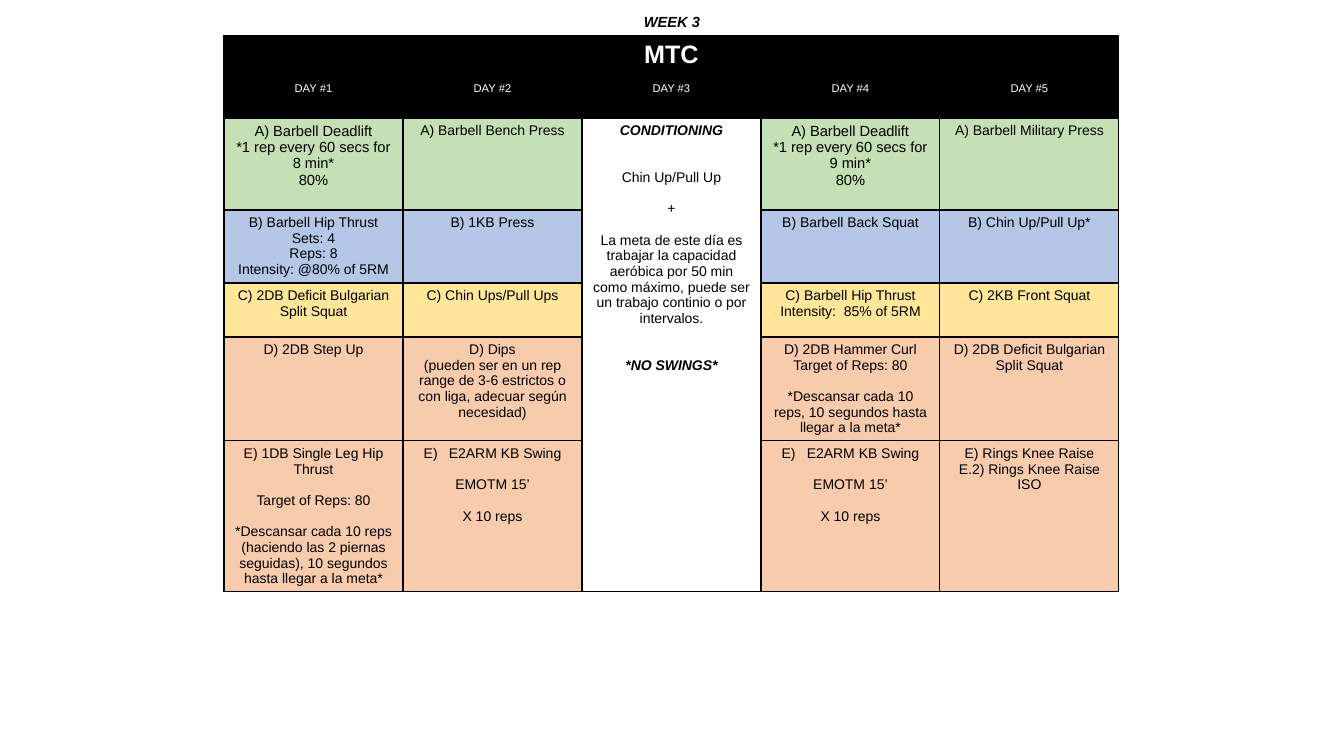
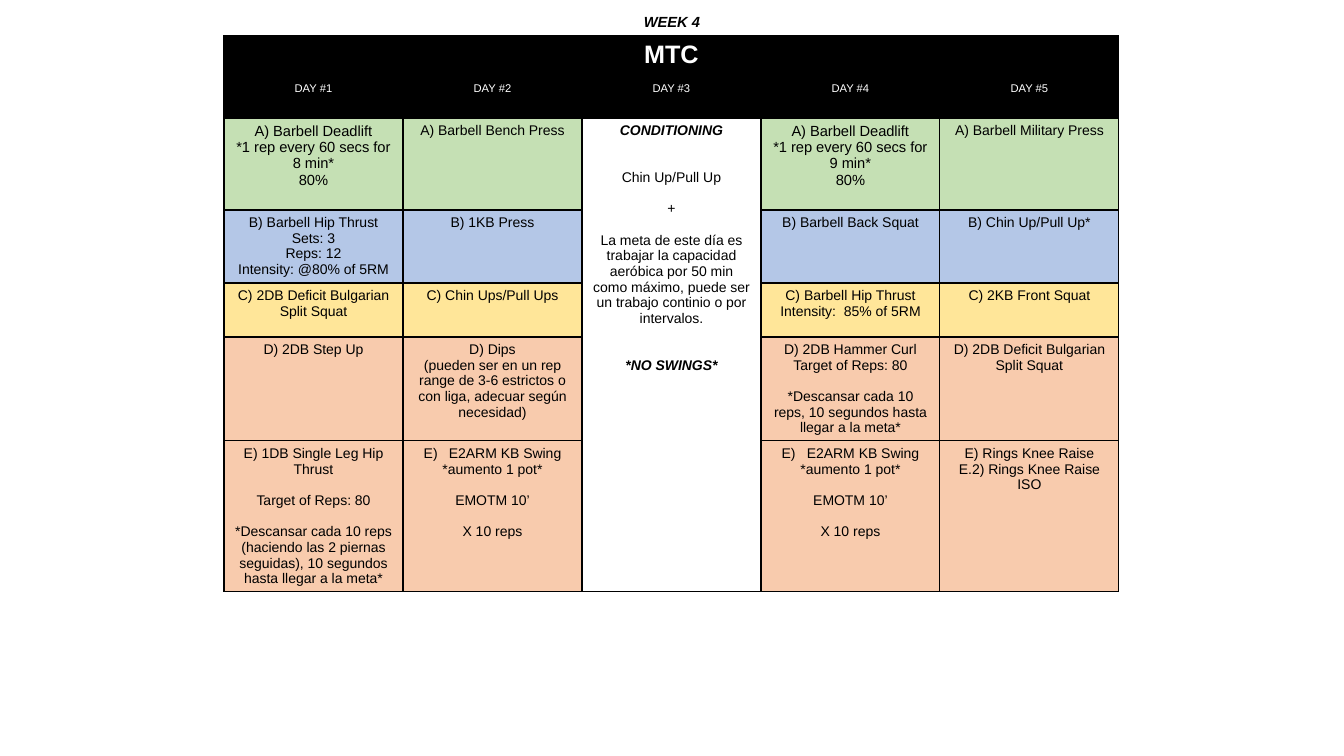
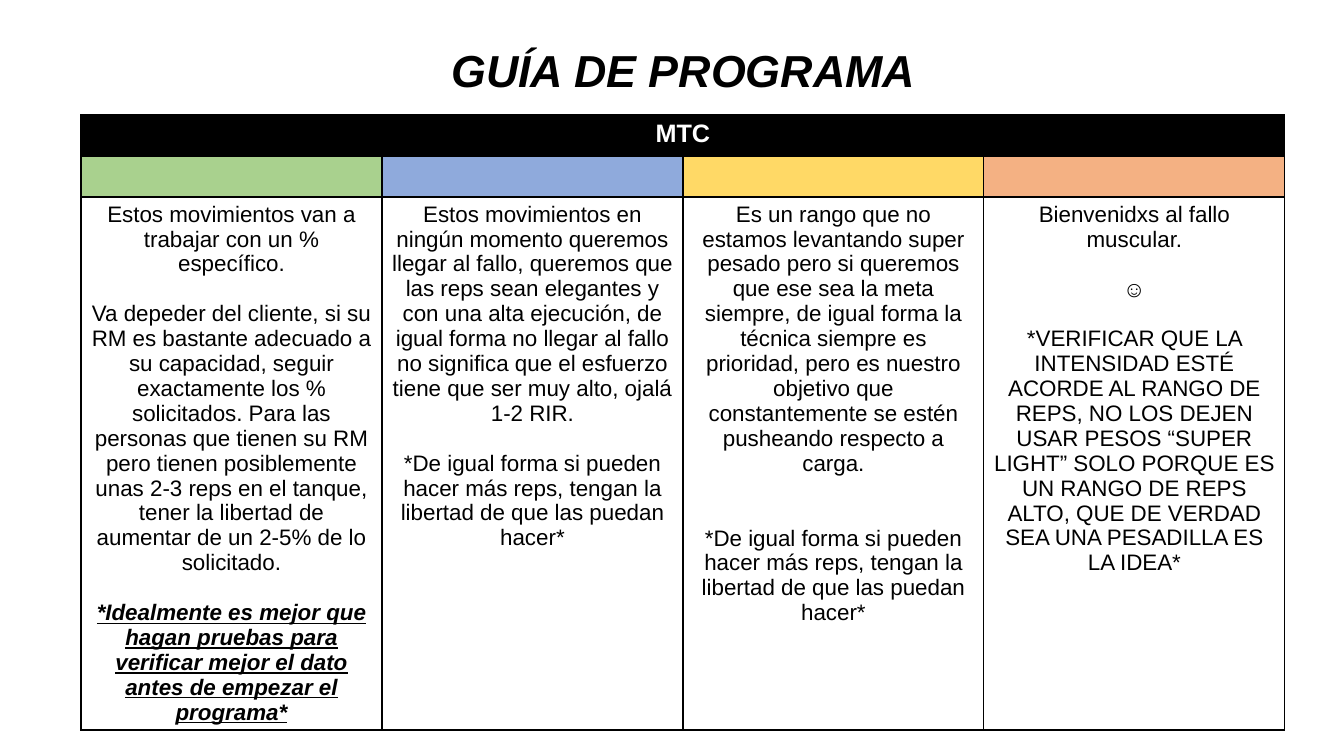
from dataclasses import dataclass

from lxml import etree
from pptx import Presentation
from pptx.dml.color import RGBColor
from pptx.enum import text
from pptx.oxml.ns import qn
from pptx.util import Emu, Pt

PX = 914400 / 100.8
FONT = "Arial"
LINE_HEIGHT = 1.12
TITLE_ONLY = 5

BLACK = RGBColor(0x00, 0x00, 0x00)
WHITE = RGBColor(0xFF, 0xFF, 0xFF)
LIGHT_GREEN = RGBColor(0xC5, 0xE0, 0xB4)
LIGHT_BLUE = RGBColor(0xB4, 0xC7, 0xE7)
LIGHT_YELLOW = RGBColor(0xFF, 0xE6, 0x99)
LIGHT_ORANGE = RGBColor(0xF8, 0xCB, 0xAD)
GREEN = RGBColor(0xA9, 0xD1, 0x8E)
BLUE = RGBColor(0x8F, 0xAA, 0xDC)
YELLOW = RGBColor(0xFF, 0xD9, 0x66)
ORANGE = RGBColor(0xF4, 0xB1, 0x83)

BLOCK_COLOURS = (LIGHT_GREEN, LIGHT_BLUE, LIGHT_YELLOW, LIGHT_ORANGE, LIGHT_ORANGE)
GUIDE_COLOURS = (GREEN, BLUE, YELLOW, ORANGE)


@dataclass
class Line:
    """One paragraph; gap counts the free lines above it, letter its place in A), B), C)..."""
    text: str
    gap: int = 0
    strong: bool = False
    underline: bool = False
    letter: int = 0


def px(length):
    return Emu(round(length * PX))


def style(paragraph, size, colour, bold=False, italic=False, underline=False):
    paragraph.alignment = text.PP_ALIGN.CENTER
    font = paragraph.font
    font.name, font.size = FONT, Pt(size)
    font.bold, font.italic, font.underline = bold, italic, underline
    font.color.rgb = colour


def number(paragraph, letter):
    properties = paragraph._p.get_or_add_pPr()
    properties.set("marL", "228600")
    properties.set("indent", "-228600")
    etree.SubElement(properties, qn("a:buAutoNum"),
                     type="alphaUcParenR", startAt=str(letter))


def add_titled_slide(deck, title, box, size, spacing=1.0):
    slide = deck.slides.add_slide(deck.slide_layouts[TITLE_ONLY])
    heading = slide.shapes.title
    heading.left, heading.top, heading.width, heading.height = map(px, box)
    frame = heading.text_frame
    frame.text = title
    frame.auto_size = text.MSO_AUTO_SIZE.NONE
    frame.vertical_anchor = text.MSO_ANCHOR.MIDDLE
    frame.paragraphs[0].line_spacing = spacing
    style(frame.paragraphs[0], size, BLACK, bold=True, italic=True)
    return slide


def outline(cell):
    properties = cell._tc.get_or_add_tcPr()
    for position, side in enumerate(("lnL", "lnR", "lnT", "lnB")):
        border = etree.Element(qn(f"a:{side}"), w=str(Pt(1)))
        fill = etree.SubElement(border, qn("a:solidFill"))
        etree.SubElement(fill, qn("a:srgbClr"), val=str(BLACK))
        properties.insert(position, border)


def add_grid(slide, left, top, column_width, row_heights, columns):
    """Add a white outlined table whose first row is one black MTC band."""
    table = slide.shapes.add_table(
        len(row_heights), columns, px(left), px(top),
        px(columns * column_width), px(sum(row_heights))).table
    table.first_row = table.horz_banding = False
    for column in table.columns:
        column.width = px(column_width)
    for row, height in zip(table.rows, row_heights):
        row.height = px(height)
    for cell in table.iter_cells():
        paint(cell, WHITE)
        outline(cell)
    for cell in table.rows[0].cells:
        paint(cell, BLACK)
    table.cell(0, 0).merge(table.cell(0, columns - 1))
    write(table.cell(0, 0), [Line("MTC")], 18, WHITE, bold=True)
    return table


def paint(cell, colour):
    cell.fill.solid()
    cell.fill.fore_color.rgb = colour


def write(cell, lines, size, colour=BLACK, bold=False):
    frame = cell.text_frame
    for index, line in enumerate(lines):
        paragraph = frame.add_paragraph() if index else frame.paragraphs[0]
        paragraph.text = line.text
        if line.gap:
            paragraph.space_before = Pt(round(line.gap * size * LINE_HEIGHT, 1))
        if line.letter:
            number(paragraph, line.letter)
        style(paragraph, size, colour, bold or line.strong, line.strong, line.underline)


def plain(*texts):
    return [Line(each) for each in texts]


def deadlift(minutes):
    return plain("A) Barbell Deadlift", f"*1 rep every 60 secs for {minutes} min*", "80%")


CONDITIONING = [
    Line("CONDITIONING", strong=True),
    Line("Chin Up/Pull Up", gap=2),
    Line("+", gap=1),
    Line("La meta de este día es trabajar la capacidad aeróbica por 50 min como máximo, "
         "puede ser un trabajo continio o por intervalos.", gap=1),
    Line("*NO SWINGS*", gap=2, strong=True),
]
TARGET = "Target of Reps: 80"


def week_days(sets, reps, swing_notes, minutes):
    """Blocks A to E of each day, by day number."""
    swing = [Line("E2ARM KB Swing", letter=5), *plain(*swing_notes),
             Line(f"EMOTM {minutes}’", gap=1), Line("X 10 reps", gap=1)]
    return {
        1: [deadlift(8),
            plain("B) Barbell Hip Thrust", f"Sets: {sets}", f"Reps: {reps}",
                  "Intensity: @80% of 5RM"),
            plain("C) 2DB Deficit Bulgarian Split Squat"),
            plain("D) 2DB Step Up"),
            [Line("E) 1DB Single Leg Hip Thrust"), Line(TARGET, gap=1),
             Line("*Descansar cada 10 reps (haciendo las 2 piernas seguidas), "
                  "10 segundos hasta llegar a la meta*", gap=1)]],
        2: [plain("A) Barbell Bench Press"),
            plain("B) 1KB Press"),
            plain("C) Chin Ups/Pull Ups"),
            plain("D) Dips", "(pueden ser en un rep range de 3-6 estrictos o con liga, "
                  "adecuar según necesidad)"),
            swing],
        4: [deadlift(9),
            plain("B) Barbell Back Squat"),
            plain("C) Barbell Hip Thrust", "Intensity:  85% of 5RM"),
            [Line("D) 2DB Hammer Curl"), Line(TARGET),
             Line("*Descansar cada 10 reps, 10 segundos hasta llegar a la meta*", gap=1)],
            swing],
        5: [plain("A) Barbell Military Press"),
            plain("B) Chin Up/Pull Up*"),
            plain("C) 2KB Front Squat"),
            plain("D) 2DB Deficit Bulgarian Split Squat"),
            plain("E) Rings Knee Raise", "E.2) Rings Knee Raise ISO")],
    }


def add_week(deck, week, days):
    slide = add_titled_slide(deck, f"WEEK {week}", (0, 7, 1344, 29), 10.5)
    table = add_grid(slide, 224, 36, 179, (41, 41, 92, 73, 54, 104, 151), 5)
    for day in range(1, 6):
        heading = table.cell(1, day - 1)
        paint(heading, BLACK)
        write(heading, [Line(f"DAY #{day}")], 8, WHITE)
    for day, blocks in days.items():
        for row, (lines, colour) in enumerate(zip(blocks, BLOCK_COLOURS), start=2):
            cell = table.cell(row, day - 1)
            paint(cell, colour)
            is_deadlift = lines[0].text == "A) Barbell Deadlift"
            write(cell, lines, 10.5 if is_deadlift else 10)
    table.cell(2, 2).merge(table.cell(6, 2))
    write(table.cell(2, 2), CONDITIONING, 10)


MORE_REPS = ("*De igual forma si pueden hacer más reps, "
             "tengan la libertad de que las puedan hacer*")
GUIDE = (
    [Line("Estos movimientos van a trabajar con un % específico."),
     Line("Va depeder del cliente, si su RM es bastante adecuado a su capacidad, seguir "
          "exactamente los % solicitados. Para las personas que tienen su RM pero tienen "
          "posiblemente unas 2-3 reps en el tanque, tener la libertad de aumentar de un "
          "2-5% de lo solicitado.", gap=1),
     Line("*Idealmente es mejor que hagan pruebas para verificar mejor el dato antes de "
          "empezar el programa*", gap=1, strong=True, underline=True)],
    [Line("Estos movimientos en ningún momento queremos llegar al fallo, queremos que las "
          "reps sean elegantes y con una alta ejecución, de igual forma no llegar al fallo "
          "no significa que el esfuerzo tiene que ser muy alto, ojalá 1-2 RIR."),
     Line(MORE_REPS, gap=1)],
    [Line("Es un rango que no estamos levantando super pesado pero si queremos que ese sea "
          "la meta siempre, de igual forma la técnica siempre es prioridad, pero es nuestro "
          "objetivo que constantemente se estén pusheando respecto a carga."),
     Line(MORE_REPS, gap=2)],
    [Line("Bienvenidxs al fallo muscular."),
     Line("☺", gap=1),
     Line("*VERIFICAR QUE LA INTENSIDAD ESTÉ ACORDE AL RANGO DE REPS, NO LOS DEJEN USAR "
          "PESOS “SUPER LIGHT” SOLO PORQUE ES UN RANGO DE REPS ALTO, QUE DE VERDAD SEA "
          "UNA PESADILLA ES LA IDEA*", gap=1)],
)


def add_guide(deck):
    slide = add_titled_slide(deck, "GUÍA DE PROGRAMA", (104, 0, 1159, 146), 32, 0.9)
    table = add_grid(slide, 81, 115, 301, (41, 41, 533), 4)
    for column, (colour, lines) in enumerate(zip(GUIDE_COLOURS, GUIDE)):
        paint(table.cell(1, column), colour)
        write(table.cell(2, column), lines, 16)


def main():
    deck = Presentation()
    deck.slide_width, deck.slide_height = px(1344), px(756)
    add_week(deck, 3, week_days(sets=4, reps=8, swing_notes=(), minutes=15))
    add_week(deck, 4, week_days(sets=3, reps=12, swing_notes=("*aumento 1 pot*",), minutes=10))
    add_guide(deck)
    deck.save("out.pptx")


if __name__ == "__main__":
    main()
